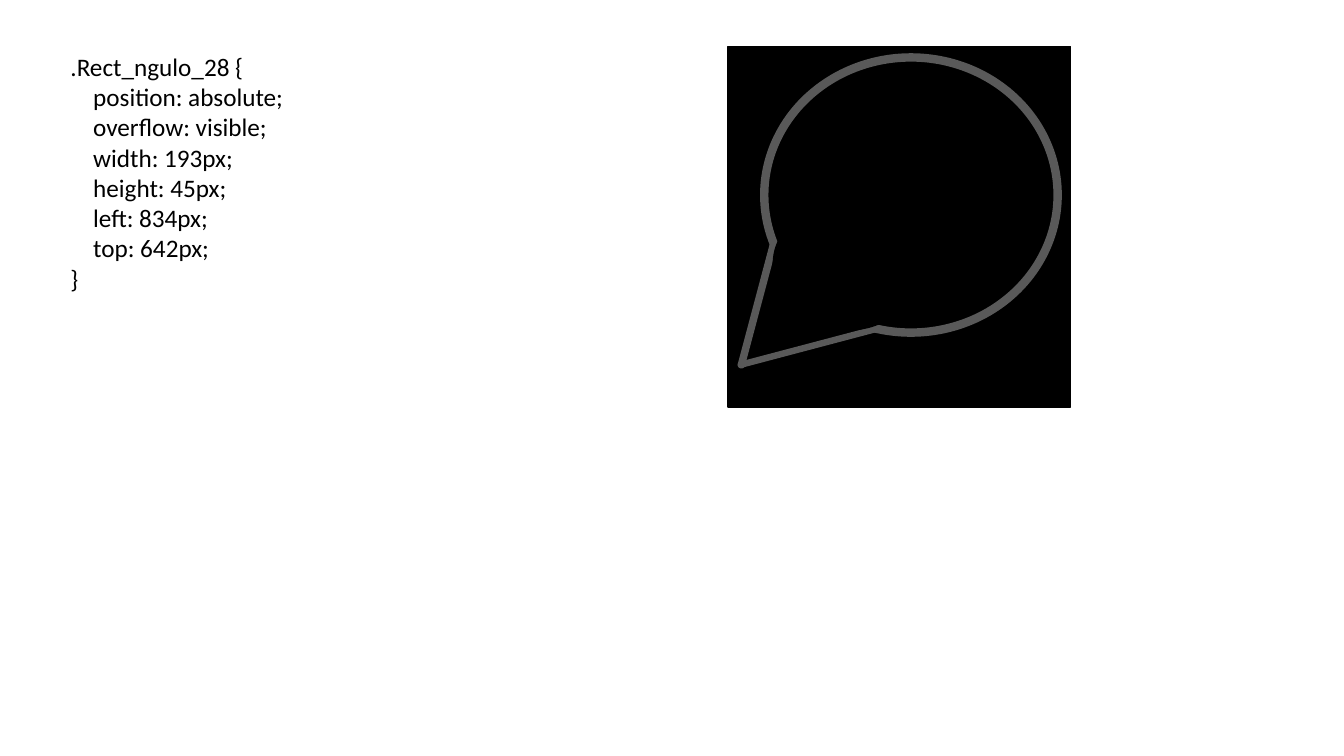
"""Builds a slide with a style rule beside a speech bubble."""
import pptx
import pptx.util
import pptx.dml.color
import pptx.enum.shapes
import pptx.enum.text

Inches = pptx.util.Inches
Pt = pptx.util.Pt
KIND = pptx.enum.shapes.MSO_SHAPE

BLACK, GREY = "000000", "595959"
CODE = [
    ".Rect_ngulo_28 {",
    "    position: absolute;",
    "    overflow: visible;",
    "    width: 193px;",
    "    height: 45px;",
    "    left: 834px;",
    "    top: 642px;",
    "}",
]
CODE_BOX = (0.6, 0.46, 2.39, 2.58)
BUBBLE = [
    (KIND.RECTANGLE, (7.22, 0.46, 3.4, 3.58), BLACK, BLACK, 1, 0),
    (KIND.OVAL, (7.58, 0.57, 2.91, 2.73), None, GREY, 6, 0),
    (KIND.ROUNDED_RECTANGLE, (7.48, 2.39, 0.06, 1.28), GREY, GREY, 1, 14.9),
    (KIND.ROUNDED_RECTANGLE, (7.98, 2.74, 0.05, 1.41), GREY, GREY, 1, 75.2),
    (KIND.OVAL, (7.67, 2.11, 0.98, 1.01), BLACK, BLACK, 1, 0),
    (KIND.OVAL, (7.87, 2.45, 1.12, 0.82), BLACK, BLACK, 1, 0),
]


def color(code):
    return pptx.dml.color.RGBColor.from_string(code)


def add_text(slide, lines, box, size=18, font="Calibri", ink=BLACK):
    frame = slide.shapes.add_textbox(*map(Inches, box)).text_frame
    frame.word_wrap = True
    frame.auto_size = pptx.enum.text.MSO_AUTO_SIZE.SHAPE_TO_FIT_TEXT
    frame.text = "\n".join(lines)
    for para in frame.paragraphs:
        for run in para.runs:
            run.font.size = Pt(size)
            run.font.name = font
            run.font.color.rgb = color(ink)


def add_part(slide, kind, box, fill, line, width, turn):
    part = slide.shapes.add_shape(kind, *map(Inches, box))
    part.shadow.inherit = False
    part.rotation = turn
    if fill:
        part.fill.solid()
        part.fill.fore_color.rgb = color(fill)
    else:
        part.fill.background()
    part.line.color.rgb = color(line)
    part.line.width = Pt(width)
    if kind == KIND.ROUNDED_RECTANGLE:
        part.adjustments[0] = 0.5


def main():
    deck = pptx.Presentation()
    deck.slide_width, deck.slide_height = Inches(13.33), Inches(7.5)
    slide = deck.slides.add_slide(deck.slide_layouts[6])
    add_text(slide, CODE, CODE_BOX)
    for part in BUBBLE:
        add_part(slide, *part)
    deck.save("out.pptx")


if __name__ == "__main__":
    main()
